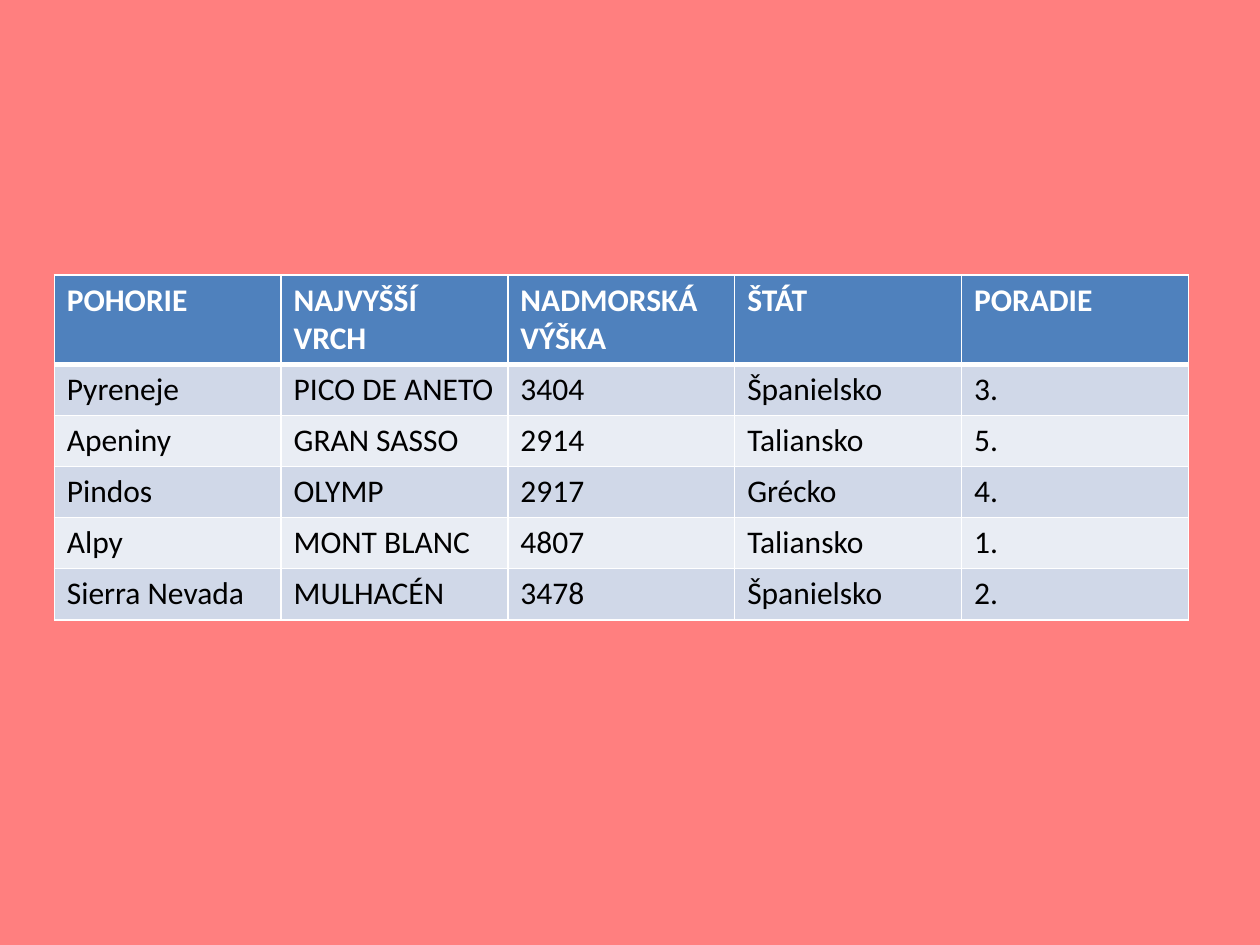
from dataclasses import dataclass

from lxml.etree import SubElement
from pptx import Presentation
from pptx.dml.color import RGBColor as Color
from pptx.oxml.ns import qn
from pptx.util import Pt

HEADINGS = ("POHORIE", "NAJVYŠŠÍ VRCH", "NADMORSKÁ VÝŠKA", "ŠTÁT", "PORADIE")
MOUNTAINS = [
    ("Pyreneje", "PICO DE ANETO", "3404", "Španielsko", "3."),
    ("Apeniny", "GRAN SASSO", "2914", "Taliansko", "5."),
    ("Pindos", "OLYMP", "2917", "Grécko", "4."),
    ("Alpy", "MONT BLANC", "4807", "Taliansko", "1."),
    ("Sierra Nevada", "MULHACÉN", "3478", "Španielsko", "2."),
]


@dataclass(frozen=True)
class Theme:
    font: str = "Calibri"
    size: int = 18
    background: str = "FF7F7F"
    header_fill: str = "4F81BD"
    header_text: str = "FFFFFF"
    body_text: str = "000000"
    bands: tuple = ("D0D8E8", "E9EDF4")
    border: str = "FFFFFF"
    thin: int = 1
    thick: int = 3


THEME = Theme()
LEFT, TOP = 31, 157
COLUMN_WIDTH = 129.6
HEADER_HEIGHT, ROW_HEIGHT = 50.4, 29.2


def add_borders(cell, top, bottom):
    """Draw all four cell edges; top and bottom are line widths in points."""
    properties = cell._tc.get_or_add_tcPr()
    widths = {"L": THEME.thin, "R": THEME.thin, "T": top, "B": bottom}
    for side, width in widths.items():
        line = SubElement(properties, qn(f"a:ln{side}"), w=str(Pt(width)))
        fill = SubElement(line, qn("a:solidFill"))
        SubElement(fill, qn("a:srgbClr"), val=THEME.border)


def fill_cell(cell, text, row):
    is_header = row == 0
    add_borders(
        cell,
        top=THEME.thick if row == 1 else THEME.thin,
        bottom=THEME.thick if is_header else THEME.thin,
    )
    band = THEME.bands[(row - 1) % len(THEME.bands)]
    cell.fill.solid()
    cell.fill.fore_color.rgb = Color.from_string(THEME.header_fill if is_header else band)
    span = cell.text_frame.paragraphs[0].add_run()
    span.text = text
    span.font.name = THEME.font
    span.font.size = Pt(THEME.size)
    span.font.bold = is_header
    span.font.color.rgb = Color.from_string(
        THEME.header_text if is_header else THEME.body_text
    )


def add_mountain_table(page):
    rows = [HEADINGS, *MOUNTAINS]
    heights = [HEADER_HEIGHT] + [ROW_HEIGHT] * len(MOUNTAINS)
    table = page.shapes.add_table(
        len(rows), len(HEADINGS), Pt(LEFT), Pt(TOP),
        Pt(COLUMN_WIDTH * len(HEADINGS)), Pt(sum(heights)),
    ).table
    for column in table.columns:
        column.width = Pt(COLUMN_WIDTH)
    for row, (texts, height) in enumerate(zip(rows, heights)):
        table.rows[row].height = Pt(height)
        for column, text in enumerate(texts):
            fill_cell(table.cell(row, column), text, row)


def main():
    deck = Presentation()
    deck.slide_width, deck.slide_height = Pt(720), Pt(540)
    page = deck.slides.add_slide(deck.slide_layouts[6])
    page.background.fill.solid()
    page.background.fill.fore_color.rgb = Color.from_string(THEME.background)
    add_mountain_table(page)
    deck.save("out.pptx")


if __name__ == "__main__":
    main()
